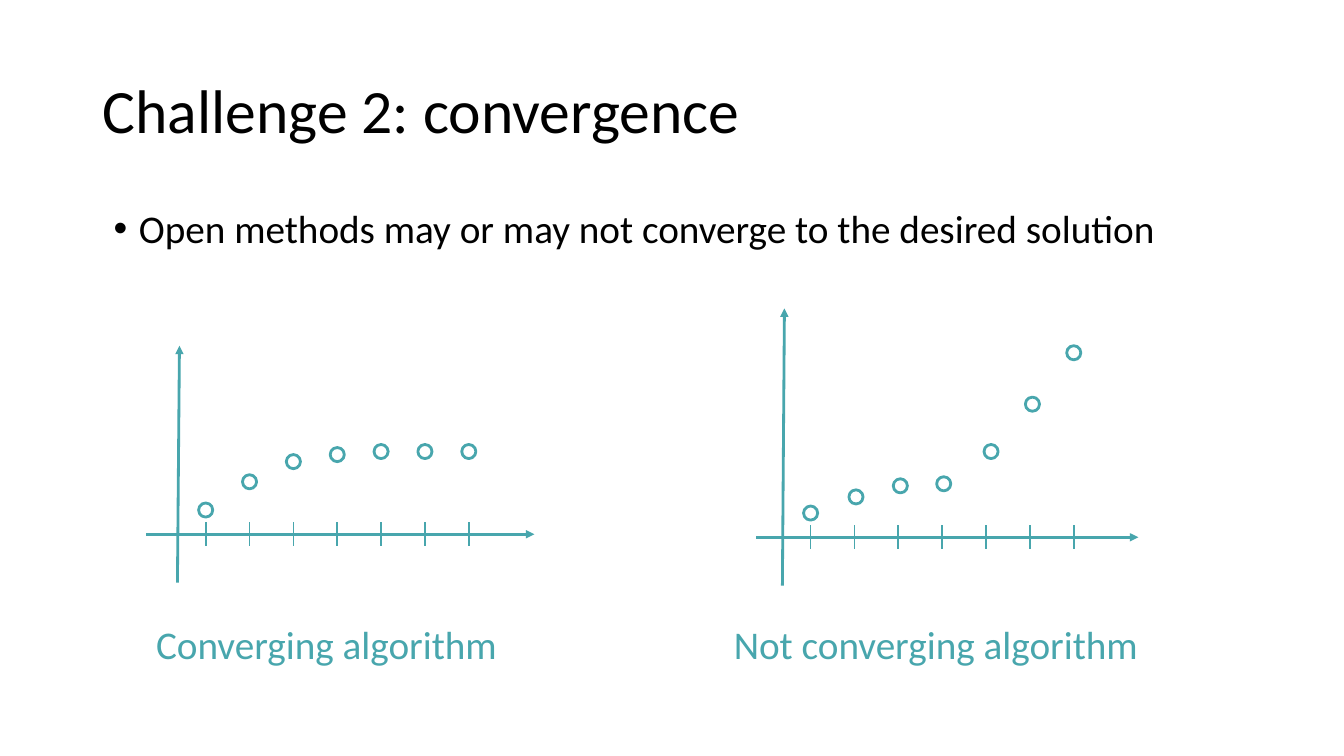
from dataclasses import dataclass

from lxml.etree import SubElement
from pptx import Presentation
from pptx.dml.color import RGBColor
from pptx.enum.shapes import MSO_CONNECTOR as CONN, MSO_SHAPE as SHAPE
from pptx.enum.text import MSO_ANCHOR as ANCHOR, MSO_AUTO_SIZE as AUTO
from pptx.oxml.ns import qn
from pptx.util import Inches, Pt


@dataclass(frozen=True)
class Theme:
    font: str = "Calibri"
    text: RGBColor = RGBColor(0, 0, 0)
    paper: RGBColor = RGBColor(255, 255, 255)
    teal: RGBColor = RGBColor(0x48, 0xA6, 0xAD)
    title_pt: float = 44
    body_pt: float = 28
    axis_pt: float = 2
    tick_pt: float = 1.25


@dataclass(frozen=True)
class Point:
    x: float
    y: float


@dataclass(frozen=True)
class Box:
    x: float
    y: float
    w: float
    h: float


@dataclass(frozen=True)
class Plot:
    x_axis: tuple[Point, Point]
    y_axis: tuple[Point, Point]
    first_tick: float
    iterates: list[Point]  # marker centres
    label: str
    label_box: Box


THEME = Theme()
TICK_STEP = 0.435
TICK_COUNT = 7
TICK_HALF = 0.12
MARKER = 0.14

PLOTS = [
    Plot(
        (Point(1.45, 5.3), Point(5.3, 5.3)),
        (Point(1.76, 5.78), Point(1.78, 3.43)),
        2.04,
        [Point(2.04 + i * TICK_STEP, y) for i, y in
         enumerate((5.06, 4.78, 4.58, 4.51, 4.48, 4.48, 4.48))],
        "Converging algorithm",
        Box(1.45, 6.1, 3.61, 0.57),
    ),
    Plot(
        (Point(7.5, 5.33), Point(11.29, 5.33)),
        (Point(7.76, 5.81), Point(7.78, 3.06)),
        8.04,
        [Point(8.04, 5.09), Point(8.49, 4.93), Point(8.93, 4.82), Point(9.36, 4.8),
         Point(9.83, 4.48), Point(10.24, 4.01), Point(10.65, 3.5)],
        "Not converging algorithm",
        Box(7.18, 6.1, 4.28, 0.57),
    ),
]


def add_text(shapes, text: str, box: Box, size: float, color: RGBColor, wrap: bool = True):
    sp = shapes.add_textbox(Inches(box.x), Inches(box.y), Inches(box.w), Inches(box.h))
    tf = sp.text_frame
    tf.word_wrap = wrap
    p = tf.paragraphs[0]
    r = p.add_run()
    r.text = text
    r.font.name = THEME.font
    r.font.size = Pt(size)
    r.font.color.rgb = color
    return tf


def add_bullet(p) -> None:
    pPr = p._p.get_or_add_pPr()
    pPr.set("marL", str(Inches(0.25)))
    pPr.set("indent", str(Inches(-0.25)))
    SubElement(pPr, qn("a:buFont"), typeface="Arial")
    SubElement(pPr, qn("a:buChar"), char="•")


def add_line(shapes, start: Point, end: Point, width: float, arrow: bool = False) -> None:
    cx = shapes.add_connector(CONN.STRAIGHT, Inches(start.x), Inches(start.y),
                              Inches(end.x), Inches(end.y))
    cx.line.color.rgb = THEME.teal
    cx.line.width = Pt(width)
    if arrow:
        SubElement(cx.line._get_or_add_ln(), qn("a:tailEnd"), type="triangle")
    SubElement(cx._element.spPr, qn("a:effectLst"))


def add_marker(shapes, center: Point) -> None:
    sp = shapes.add_shape(SHAPE.OVAL, Inches(center.x - MARKER / 2),
                          Inches(center.y - MARKER / 2), Inches(MARKER), Inches(MARKER))
    sp.shadow.inherit = False
    sp.fill.solid()
    sp.fill.fore_color.rgb = THEME.paper
    sp.line.color.rgb = THEME.teal
    sp.line.width = Pt(THEME.axis_pt)


def add_plot(slide, plot: Plot) -> None:
    shapes = slide.shapes.add_group_shape().shapes
    # Axes
    for start, end in (plot.x_axis, plot.y_axis):
        add_line(shapes, start, end, THEME.axis_pt, arrow=True)
    # Iteration ticks
    base = plot.x_axis[0].y
    for i in range(TICK_COUNT):
        x = plot.first_tick + i * TICK_STEP
        add_line(shapes, Point(x, base - TICK_HALF), Point(x, base + TICK_HALF), THEME.tick_pt)
    # Iterates and label
    for center in plot.iterates:
        add_marker(shapes, center)
    tf = add_text(shapes, plot.label, plot.label_box, THEME.body_pt, THEME.teal, wrap=False)
    tf.auto_size = AUTO.SHAPE_TO_FIT_TEXT


def main() -> None:
    prs = Presentation()
    prs.slide_width, prs.slide_height = Inches(13.33), Inches(7.5)
    slide = prs.slides.add_slide(prs.slide_layouts[6])

    # Title
    tf = add_text(slide.shapes, "Challenge 2: convergence", Box(0.92, 0.4, 11.5, 1.45),
                  THEME.title_pt, THEME.text)
    tf.vertical_anchor = ANCHOR.MIDDLE
    tf.paragraphs[0].line_spacing = 0.9

    # Statement
    tf = add_text(slide.shapes, "Open methods may or may not converge to the desired solution",
                  Box(1.03, 2.03, 11.5, 4.76), THEME.body_pt, THEME.text)
    add_bullet(tf.paragraphs[0])
    tf.paragraphs[0].line_spacing = 0.9

    # Plots
    for plot in PLOTS:
        add_plot(slide, plot)

    prs.save("out.pptx")


if __name__ == "__main__":
    main()
